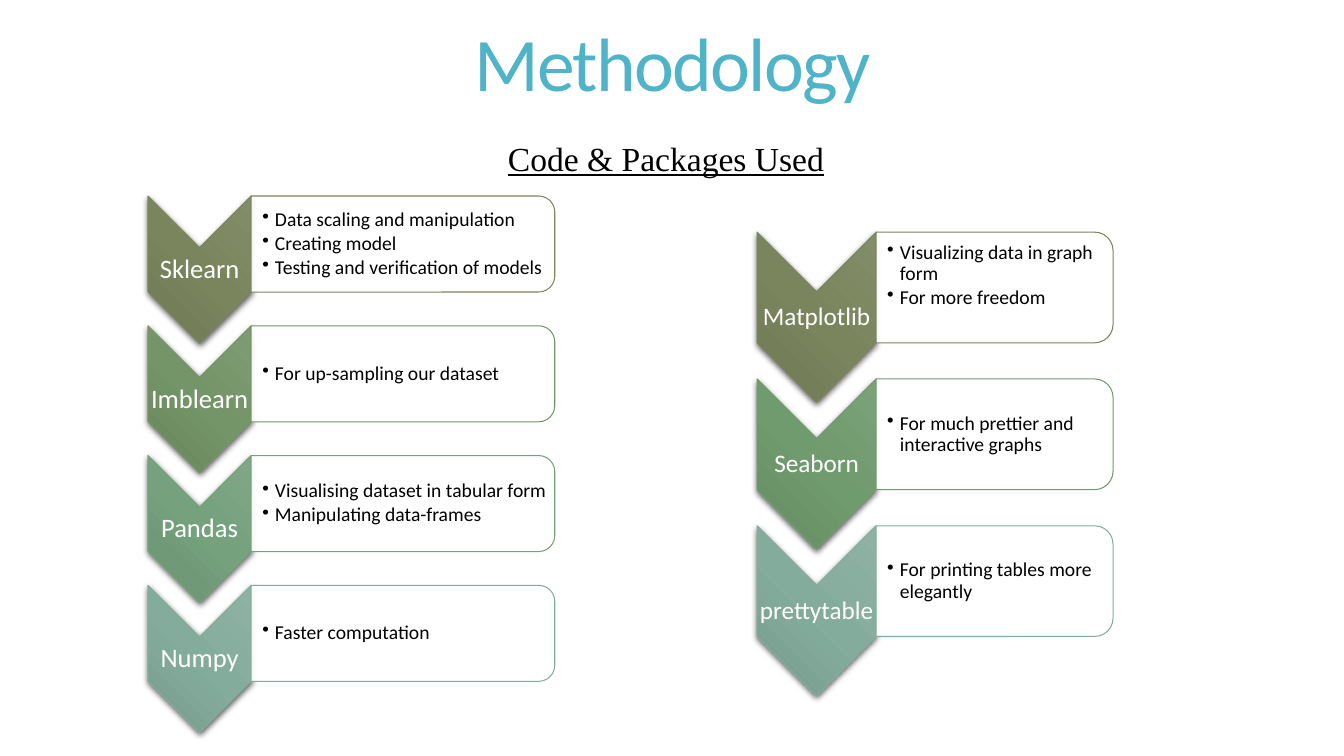
"""Build the Methodology slide listing the code packages used."""
from dataclasses import dataclass

from pptx import Presentation
from pptx import oxml
from pptx import util as u
from pptx.dml.color import RGBColor
from pptx.enum import shapes, text
from pptx.oxml import ns
from pptx.shapes.autoshape import Shape
from pptx.slide import Slide
from pptx.text.text import TextFrame

AQUA = RGBColor(0x50, 0xB4, 0xC8)
BLACK = RGBColor(0, 0, 0)
WHITE = RGBColor(0xFF, 0xFF, 0xFF)
BODY_FONT = "Calibri"
HAIRLINE = u.Pt(0.75)


@dataclass(frozen=True)
class Tone:
    """Light, base and dark shades of one package."""
    light: RGBColor
    base: RGBColor
    dark: RGBColor


OLIVE = Tone(RGBColor(0x83, 0x8E, 0x69), RGBColor(0x7A, 0x85, 0x5D), RGBColor(0x6E, 0x77, 0x54))
MOSS = Tone(RGBColor(0x7E, 0x9C, 0x73), RGBColor(0x74, 0x95, 0x67), RGBColor(0x68, 0x86, 0x5D))
SAGE = Tone(RGBColor(0x80, 0xA7, 0x87), RGBColor(0x75, 0xA1, 0x7D), RGBColor(0x69, 0x91, 0x70))
LEAF = Tone(RGBColor(0x7B, 0xA2, 0x79), RGBColor(0x70, 0x9B, 0x6E), RGBColor(0x65, 0x8B, 0x63))
TEAL = Tone(RGBColor(0x8E, 0xB2, 0xA4), RGBColor(0x84, 0xAC, 0x9D), RGBColor(0x76, 0x9B, 0x8D))


@dataclass(frozen=True)
class Package:
    """One package with its uses; space_below lifts the uses, in cm."""
    name: str
    tone: Tone
    uses: tuple[str, ...]
    space_below: float = 0.03


@dataclass(frozen=True)
class Column:
    """A stack of packages, measured in cm."""
    left: float
    top: float
    pitch: float
    chevron_width: float
    chevron_height: float
    uses_width: float
    uses_height: float
    name_size: int
    packages: tuple[Package, ...]


COLUMNS = (
    Column(3.73, 4.94, 3.27, 2.6, 3.71, 7.65, 2.42, 19, (
        Package("Sklearn", OLIVE, ("Data scaling and manipulation", "Creating model",
                                   "Testing and verification of models")),
        Package("Imblearn", MOSS, ("For up-sampling our dataset",)),
        Package("Pandas", SAGE, ("Visualising dataset in tabular form",
                                 "Manipulating data-frames")),
        Package("Numpy", TEAL, ("Faster computation",)),
    )),
    Column(19.08, 5.85, 3.7, 3, 4.29, 5.97, 2.79, 18, (
        Package("Matplotlib", OLIVE, ("Visualizing data in graph form",
                                      "For more freedom"), 0.62),
        Package("Seaborn", LEAF, ("For much prettier and interactive graphs",)),
        Package("prettytable", TEAL, ("For printing tables more elegantly",)),
    )),
)


def add_turned(slide: Slide, kind: shapes.MSO_SHAPE, left: float, top: float,
               width: float, height: float, outline: RGBColor) -> Shape:
    """Add a shape turned by 90 degrees that covers the given area."""
    shift = (width - height) / 2
    turned = slide.shapes.add_shape(kind, u.Cm(left + shift), u.Cm(top - shift),
                                    u.Cm(height), u.Cm(width))
    turned.rotation = 90
    turned.shadow.inherit = False
    turned.line.color.rgb = outline
    turned.line.width = HAIRLINE
    return turned


def shade_chevron(chevron: Shape, tone: Tone) -> None:
    """Give a chevron its three-stop gradient and soft shadow."""
    chevron.fill.gradient()
    properties = chevron._element.spPr
    stops = "".join(f'<a:gs pos="{place}"><a:srgbClr val="{shade}"/></a:gs>' for place, shade in
                    ((0, tone.light), (50000, tone.base), (100000, tone.dark)))
    properties.replace(properties.find(ns.qn("a:gradFill")), oxml.parse_xml(
        f'<a:gradFill {ns.nsdecls("a")} rotWithShape="1"><a:gsLst>{stops}</a:gsLst>'
        '<a:lin ang="2700000" scaled="0"/></a:gradFill>'))
    properties.find(ns.qn("a:effectLst")).append(oxml.parse_xml(
        f'<a:outerShdw {ns.nsdecls("a")} blurRad="57150" dist="19050" dir="5400000" '
        'algn="ctr" rotWithShape="0"><a:srgbClr val="000000"><a:alpha val="63000"/>'
        '</a:srgbClr></a:outerShdw>'))


def fill_translucent(panel: Shape) -> None:
    """Fill a panel with slightly transparent white."""
    panel.fill.solid()
    panel.fill.fore_color.rgb = WHITE
    panel._element.spPr.find(ns.qn("a:solidFill"))[0].append(
        oxml.parse_xml(f'<a:alpha {ns.nsdecls("a")} val="90000"/>'))


def add_centred_frame(slide: Slide, left: float, top: float, width: float, height: float,
                      margin_left: float = 0.03, margin_bottom: float = 0.03) -> TextFrame:
    """Add a wrapping text frame anchored in the middle."""
    frame = slide.shapes.add_textbox(u.Cm(left), u.Cm(top), u.Cm(width), u.Cm(height)).text_frame
    frame.word_wrap = True
    frame.vertical_anchor = text.MSO_ANCHOR.MIDDLE
    frame.margin_left = u.Cm(margin_left)
    frame.margin_top = frame.margin_right = u.Cm(0.03)
    frame.margin_bottom = u.Cm(margin_bottom)
    return frame


def write_lines(frame: TextFrame, lines: tuple[str, ...], size: int, color: RGBColor,
                bulleted: bool) -> None:
    """Write one paragraph per line, bulleted or centred."""
    frame.text = "\n".join(lines)
    for paragraph in frame.paragraphs:
        paragraph.line_spacing = 0.9
        if bulleted:
            paragraph.space_after = u.Pt(2)
            properties = paragraph._p.get_or_add_pPr()
            properties.set("marL", str(u.Cm(0.32)))
            properties.set("indent", str(-u.Cm(0.32)))
            properties.append(oxml.parse_xml(f'<a:buChar {ns.nsdecls("a")} char="•"/>'))
        else:
            paragraph.alignment = text.PP_ALIGN.CENTER
        paragraph.font.name = BODY_FONT
        paragraph.font.size = u.Pt(size)
        paragraph.font.color.rgb = color


def add_package(slide: Slide, column: Column, package: Package, top: float) -> None:
    """Draw a package's chevron, name and uses."""
    width, height = column.chevron_width, column.chevron_height
    chevron = add_turned(slide, shapes.MSO_SHAPE.CHEVRON, column.left, top, width, height,
                         package.tone.base)
    shade_chevron(chevron, package.tone)
    name = add_centred_frame(slide, column.left, top + width / 2, width, height - width)
    write_lines(name, (package.name,), column.name_size, WHITE, bulleted=False)

    uses_left = column.left + width
    panel = add_turned(slide, shapes.MSO_SHAPE.ROUND_2_SAME_RECTANGLE, uses_left, top,
                       column.uses_width, column.uses_height, package.tone.base)
    fill_translucent(panel)
    uses = add_centred_frame(slide, uses_left, top + 0.12, column.uses_width - 0.12,
                             column.uses_height - 0.24, 0.28, package.space_below)
    write_lines(uses, package.uses, 14, BLACK, bulleted=True)


def add_headings(slide: Slide) -> None:
    """Format the title and add the underlined subtitle."""
    title = slide.shapes.title
    title.left, title.top, title.width, title.height = map(u.Cm, (2.34, 0.2, 29.21, 3.05))
    title.text_frame.text = "Methodology"
    title.text_frame.auto_size = text.MSO_AUTO_SIZE.NONE
    title.text_frame.vertical_anchor = text.MSO_ANCHOR.MIDDLE
    heading = title.text_frame.paragraphs[0]
    heading.alignment = text.PP_ALIGN.CENTER
    heading.line_spacing = 0.85
    heading.font.name = BODY_FONT
    heading.font.size = u.Pt(54)
    heading.font.color.rgb = AQUA
    heading._p.pPr.find(ns.qn("a:defRPr")).set("spc", "-120")

    subtitle = slide.shapes.add_textbox(u.Cm(12.55), u.Cm(3.35), u.Cm(8.79), u.Cm(1.27)).text_frame
    subtitle.word_wrap = False
    subtitle.auto_size = text.MSO_AUTO_SIZE.SHAPE_TO_FIT_TEXT
    subtitle.text = "Code & Packages Used"
    caption = subtitle.paragraphs[0].font
    caption.name = "Times New Roman"
    caption.size = u.Pt(24)
    caption.underline = True
    caption.color.rgb = BLACK


def main() -> None:
    """Build and save the slide."""
    deck = Presentation()
    deck.slide_width, deck.slide_height = u.Cm(33.87), u.Cm(19.05)
    slide = deck.slides.add_slide(deck.slide_layouts[5])
    add_headings(slide)
    for column in COLUMNS:
        for row, package in enumerate(column.packages):
            add_package(slide, column, package, column.top + row * column.pitch)
    deck.save("out.pptx")


if __name__ == "__main__":
    main()
